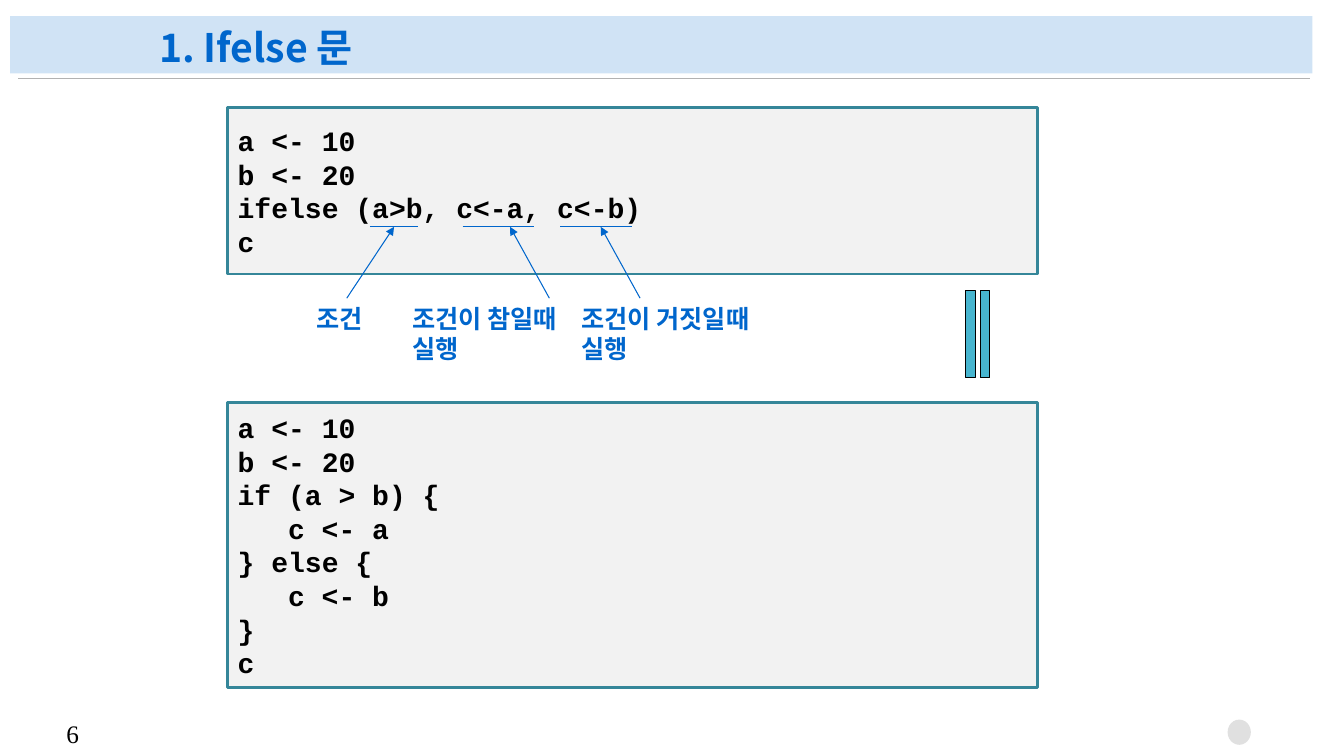
from collections import namedtuple
from lxml.etree import SubElement
from pptx import Presentation
from pptx.dml.color import RGBColor
from pptx.enum.shapes import MSO_CONNECTOR, MSO_SHAPE
from pptx.enum.text import MSO_ANCHOR, PP_ALIGN
from pptx.oxml.ns import qn
from pptx.util import Pt

Box = namedtuple("Box", "left top width height")
Callout = namedtuple("Callout", "lines left width rule_left rule_width arrow_from arrow_to")
Theme = namedtuple("Theme", "band rule ink accent panel border equal dot "
                   "title_size code_size label_size serif code_font korean")

THEME = Theme(band="D0E3F5", rule="B2B2B2", ink="000000", accent="0066CC",
              panel="F2F2F2", border="358699", equal="47B5CF", dot="E0E0E0",
              title_size=28, code_size=20, label_size=18,
              serif="Times New Roman", code_font="Courier New", korean="Noto Sans CJK KR")

SHORT_CODE = ["a <- 10", "b <- 20", "ifelse (a>b, c<-a, c<-b)", "c"]
LONG_CODE = ["a <- 10", "b <- 20", "if (a > b) {", "\tc <- a", "} else {", "\tc <- b", "}", "c"]
CALLOUTS = [
    Callout(["조건"], 0, 50.4, 45.3, 34.6, 28.8, 62.6),
    Callout(["조건이 참일때", "실행"], 68.4, 128.2, 111.6, 51.1, 173.5, 145.4),
    Callout(["조건이 거짓일때", "실행"], 189.3, 144, 181.4, 51.1, 238.3, 210.2),
]


def write_text(frame, lines, size, font, color=THEME.ink, bold=False,
               anchor=MSO_ANCHOR.TOP, spacing=None):
    """Fill a text frame with left-aligned lines; a leading tab indents by three characters."""
    frame.word_wrap = True
    frame.vertical_anchor = anchor
    for index, line in enumerate(lines):
        para = frame.paragraphs[0] if index == 0 else frame.add_paragraph()
        para.alignment = PP_ALIGN.LEFT
        if spacing:
            para.line_spacing = spacing
        if line.startswith("\t"):
            para._p.get_or_add_pPr().set("marL", str(Pt(size * 1.8)))
        span = para.add_run()
        span.text = line.strip()
        span.font.size = Pt(size)
        span.font.bold = bold
        span.font.name = font
        span.font.color.rgb = RGBColor.from_string(color)
        SubElement(span._r.get_or_add_rPr(), qn("a:ea"), typeface=THEME.korean)


def add_text(page, box, lines, **style):
    """Add a text box and write its lines."""
    holder = page.shapes.add_textbox(*map(Pt, box))
    write_text(holder.text_frame, lines, **style)


def add_figure(page, kind, box, fill, line=None, weight=0.75):
    """Add a flat preset shape with an optional outline."""
    shape = page.shapes.add_shape(kind, *map(Pt, box))
    shape.shadow.inherit = False
    shape.fill.solid()
    shape.fill.fore_color.rgb = RGBColor.from_string(fill)
    if line:
        shape.line.color.rgb = RGBColor.from_string(line)
        shape.line.width = Pt(weight)
    else:
        shape.line.fill.background()
    return shape


def add_line(page, start, end, color, weight=0.75, arrow=False):
    """Add a straight connector, with an arrowhead at its end on request."""
    line = page.shapes.add_connector(MSO_CONNECTOR.STRAIGHT, *map(Pt, start + end))
    line.line.color.rgb = RGBColor.from_string(color)
    line.line.width = Pt(weight)
    if arrow:
        SubElement(line.line._get_or_add_ln(), qn("a:tailEnd"), type="triangle")
    SubElement(line._element.spPr, qn("a:effectLst"))


def draw_header(page, box, title):
    """Draw the title band with the rule below it."""
    add_figure(page, MSO_SHAPE.RECTANGLE, box, THEME.band)
    rule_top = box.top + box.height + 3.7
    add_line(page, (box.left + 5.8, rule_top), (box.left + box.width - 2, rule_top),
             THEME.rule, 0.5)
    add_text(page, Box(box.left + 99.4, box.top + 0.7, 724.3, 41.8), [title],
             size=THEME.title_size, font=THEME.korean, color=THEME.accent, bold=True,
             anchor=MSO_ANCHOR.BOTTOM, spacing=0.9)


def draw_code(page, box, lines):
    """Draw a framed code listing."""
    panel = add_figure(page, MSO_SHAPE.RECTANGLE, box, THEME.panel, THEME.border, 2)
    write_text(panel.text_frame, lines, size=THEME.code_size, font=THEME.code_font,
               bold=True, anchor=MSO_ANCHOR.MIDDLE)


def draw_callouts(page, box, callouts):
    """Underline each argument at the box top and point to it from a label."""
    label_top = box.top + box.height / 2
    for item in callouts:
        rule_left = box.left + item.rule_left
        add_line(page, (rule_left, box.top), (rule_left + item.rule_width, box.top), THEME.accent)
        add_line(page, (box.left + item.arrow_from, label_top),
                 (box.left + item.arrow_to, box.top), THEME.accent, arrow=True)
        add_text(page, Box(box.left + item.left, label_top, item.width, box.height / 2),
                 item.lines, size=THEME.label_size, font=THEME.serif,
                 color=THEME.accent, bold=True)


def draw_equal(page, box):
    """Draw an upright equal sign filling the box."""
    left = box.left + (box.width - box.height) / 2
    top = box.top + (box.height - box.width) / 2
    sign = add_figure(page, MSO_SHAPE.MATH_EQUAL, Box(left, top, box.height, box.width),
                      THEME.equal, THEME.ink)
    sign.rotation = 90


def draw_footer(page, box, number):
    """Draw the page number at the left and the dot at the right."""
    add_text(page, Box(box.left, box.top, 36, box.height), [number],
             size=THEME.label_size, font=THEME.serif)
    add_figure(page, MSO_SHAPE.OVAL,
               Box(box.left + box.width - 16.6, box.top + 4.2, 16.6, 18), THEME.dot)


def build_deck():
    """Build the deck with its single page."""
    deck = Presentation()
    deck.slide_width, deck.slide_height = Pt(960), Pt(540)
    page = deck.slides.add_slide(deck.slide_layouts[6])
    draw_header(page, Box(7.2, 11.5, 930.2, 41), "1. Ifelse 문")
    draw_code(page, Box(162.7, 77, 578.2, 118.8), SHORT_CODE)
    draw_callouts(page, Box(218.9, 162, 333.3, 102), CALLOUTS)
    draw_equal(page, Box(683.6, 196.2, 29.5, 85))
    draw_code(page, Box(162.7, 287.3, 578.2, 203.8), LONG_CODE)
    draw_footer(page, Box(40.3, 509.8, 853.2, 28.8), "6")
    return deck


build_deck().save("out.pptx")
